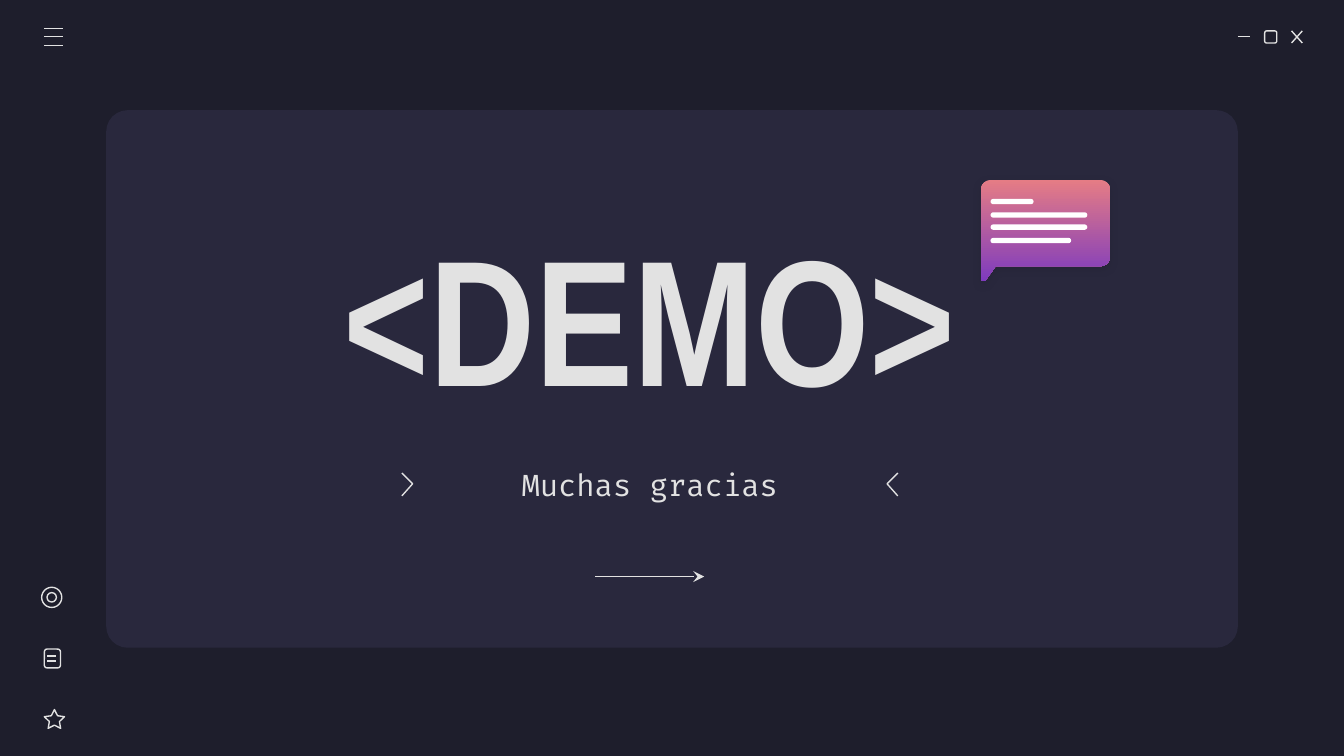
from math import cos, radians, sin

from lxml.etree import SubElement
from pptx import Presentation
from pptx.dml.color import RGBColor
from pptx.enum.shapes import MSO_CONNECTOR, MSO_SHAPE
from pptx.enum.text import MSO_ANCHOR, MSO_AUTO_SIZE, PP_ALIGN
from pptx.oxml import parse_xml
from pptx.oxml.ns import nsdecls, qn
from pptx.util import Inches, Pt

COLORS = {
    "background": "1E1E2C",
    "panel": "29283D",
    "light": "E2E2E2",
    "white": "FFFFFF",
    "pink": "E57C85",
    "purple": "7E3BBE",
}
RGB = {name: RGBColor.from_string(value) for name, value in COLORS.items()}


def style(sp, fill=None, line=None):
    """Set fill and outline by colour name, or none; drop the shadow."""
    sp.shadow.inherit = False
    if fill:
        sp.fill.solid()
        sp.fill.fore_color.rgb = RGB[fill]
    else:
        sp.fill.background()
    if line:
        sp.line.color.rgb = RGB[line]
        sp.line.width = Pt(0.75)
    else:
        sp.line.fill.background()


def outline(points, close):
    pts = [(Inches(x), Inches(y)) for x, y in points]
    builder = s.shapes.build_freeform(*pts[0])
    builder.add_line_segments(pts[1:], close=close)
    return builder.convert_to_shape()


prs = Presentation()
prs.slide_width = Inches(10)
prs.slide_height = prs.slide_width * 9 // 16
s = prs.slides.add_slide(prs.slide_layouts[5])
s.background.fill.solid()
s.background.fill.fore_color.rgb = RGB["background"]

# Panel and outlined icons: shape, box, corner or point adjustment, fill, line
icons = [
    (MSO_SHAPE.ROUNDED_RECTANGLE, (0.79, 0.82, 8.42, 4), 0.04, "panel", None),
    (MSO_SHAPE.ROUNDED_RECTANGLE, (9.41, 0.23, 0.09, 0.09), 0.17, None, "light"),
    (MSO_SHAPE.STAR_5_POINT, (0.33, 5.28, 0.15, 0.14), 0.25, None, "light"),
    (MSO_SHAPE.ROUNDED_RECTANGLE, (0.33, 4.83, 0.12, 0.14), 0.17, None, "light"),
    (MSO_SHAPE.OVAL, (0.31, 4.37, 0.15, 0.15), None, None, "light"),
    (MSO_SHAPE.OVAL, (0.35, 4.41, 0.07, 0.07), None, None, "light"),
]
for kind, box, adjustment, fill, line in icons:
    sp = s.shapes.add_shape(kind, *[Inches(v) for v in box])
    if adjustment:
        sp.adjustments[0] = adjustment
    style(sp, fill, line)

# Window buttons, menu bars, document lines and the arrow (last)
lines = [(9.21, 0.27, 9.3, 0.27), (9.61, 0.23, 9.69, 0.32), (9.69, 0.23, 9.61, 0.32)]
lines += [(0.33, y, 0.47, y) for y in (0.21, 0.27, 0.34)]
lines += [(0.35, y, 0.42, y) for y in (4.88, 4.92)]
lines += [(4.43, 4.29, 5.24, 4.29)]
for ends in lines:
    connector = s.shapes.add_connector(
        MSO_CONNECTOR.STRAIGHT, *[Inches(v) for v in ends])
    connector.line.color.rgb = RGB["light"]
    connector.line.width = Pt(0.75)
    SubElement(connector._element.spPr, qn("a:effectLst"))
SubElement(connector.line._get_or_add_ln(), qn("a:tailEnd"), type="stealth")

# Title and subtitle, with the title placeholder raised above the panel
title = s.shapes.title
s.shapes._spTree.append(title._element)
subtitle = s.shapes.add_textbox(0, 0, 0, 0)
texts = [
    (title, (1.89, 1.52, 5.89, 1.64), "<DEMO>", "Arial Narrow", 96, True),
    (subtitle, (3.24, 3.28, 3.19, 0.65), "Muchas gracias", "Fira Code", 16, False),
]
for sp, box, text, font, size, bold in texts:
    sp.left, sp.top, sp.width, sp.height = [Inches(v) for v in box]
    tf = sp.text_frame
    tf.word_wrap = True
    tf.auto_size = MSO_AUTO_SIZE.NONE
    tf.vertical_anchor = MSO_ANCHOR.MIDDLE
    tf.margin_left = tf.margin_right = tf.margin_top = tf.margin_bottom = Inches(0.1)
    p = tf.paragraphs[0]
    p.alignment = PP_ALIGN.CENTER
    r = p.add_run()
    r.text = text
    r.font.name, r.font.size, r.font.bold = font, Pt(size), bold
    r.font.color.rgb = RGB["light"]

# Chevrons on both sides of the subtitle
for back, tip in ((2.99, 3.07), (6.68, 6.6)):
    style(outline([(back, 3.52), (tip, 3.6), (back, 3.69)], False), line="light")

# Speech bubble: three rounded corners and a tail at bottom left
radius = 0.07
points = [(7.3, 2.08), (7.31, 2.09), (7.33, 2.09), (7.41, 1.98)]
for cx, cy, start in ((8.19, 1.91, 90), (8.19, 1.41, 0), (7.37, 1.41, -90)):
    for step in range(0, 91, 10):
        angle = radians(start - step)
        points.append((cx + radius * cos(angle), cy + radius * sin(angle)))
bubble = outline(points, True)
style(bubble)
bubble.fill.gradient()
bubble.fill.gradient_angle = 270
for stop, name in zip(bubble.fill.gradient_stops, ("pink", "purple")):
    stop.color.rgb = RGB[name]
effects = bubble._element.spPr.find(qn("a:effectLst"))
effects.append(parse_xml(
    f'<a:outerShdw {nsdecls("a")} blurRad="{Pt(4.5)}" dist="{Pt(1.5)}" dir="5400000"'
    f' algn="bl" rotWithShape="0"><a:srgbClr val="{COLORS["background"]}">'
    '<a:alpha val="30000"/></a:srgbClr></a:outerShdw>'))

# Message lines in the bubble
for y, width in ((1.48, 0.32), (1.58, 0.72), (1.67, 0.72), (1.77, 0.6)):
    bar = s.shapes.add_shape(
        MSO_SHAPE.ROUNDED_RECTANGLE,
        Inches(7.37), Inches(y), Inches(width), Inches(0.04))
    bar.adjustments[0] = 0.5
    style(bar, "white")

prs.save("out.pptx")
